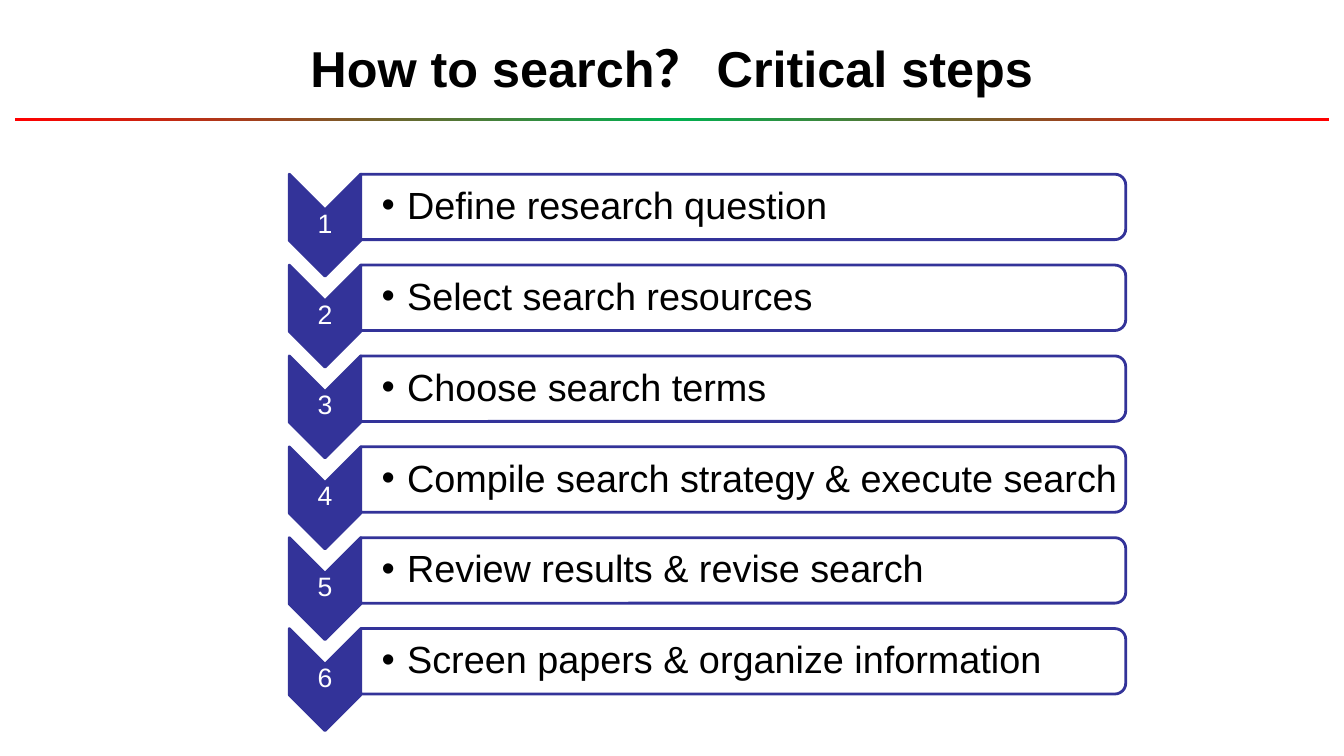
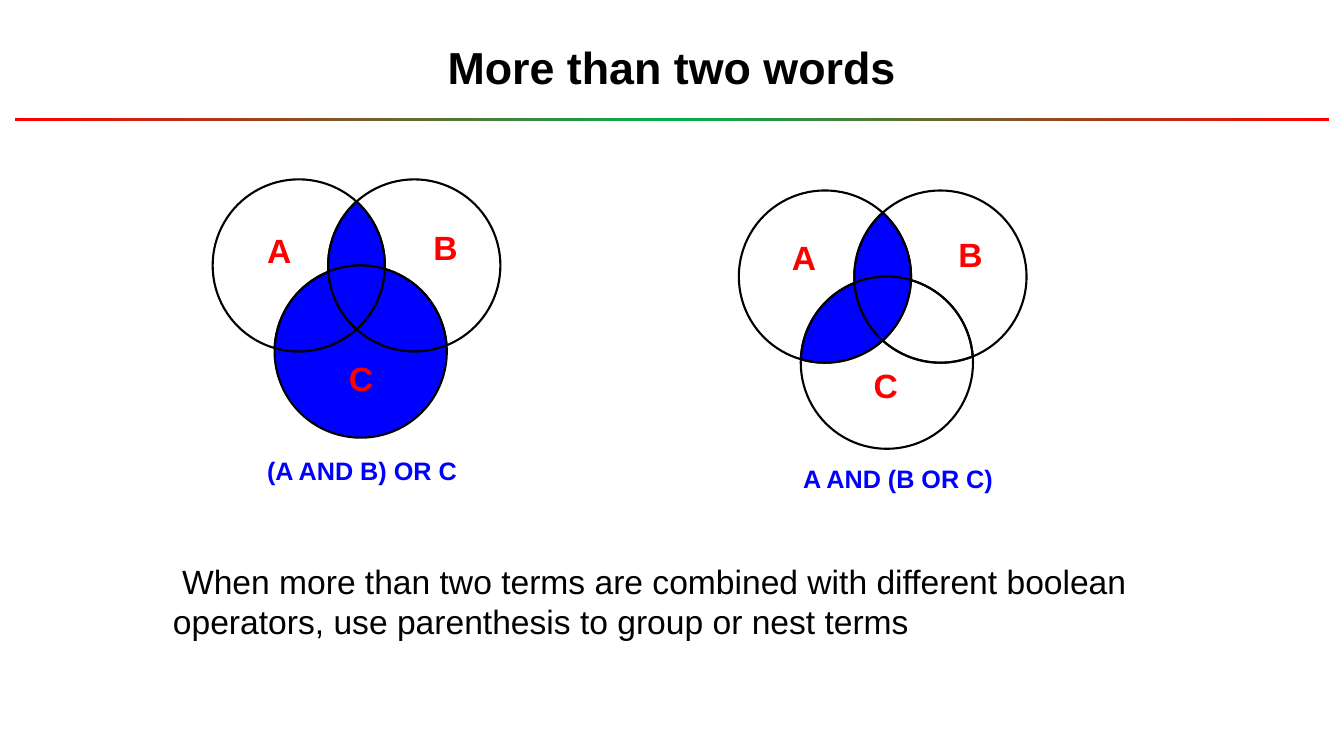
"""Build two slides on literature searching: the critical steps and nested boolean terms."""
from math import atan2, cos, degrees, hypot, sin, sqrt, tau

from lxml.etree import SubElement
from pptx import Presentation
from pptx.dml.color import RGBColor
from pptx.enum.shapes import MSO_SHAPE
from pptx.enum.text import MSO_ANCHOR, MSO_AUTO_SIZE, PP_ALIGN
from pptx.oxml.ns import qn
from pptx.util import Cm, Pt

COLORS = {
    "text": "000000",
    "paper": "FFFFFF",
    "step": "333399",
    "label": "FF0000",
    "match": "0000FF",
    "band_edge": "FF0000",
    "band_middle": "00B050",
}
FONT = "Arial"
TITLE_ONLY = 5

STEPS = [
    "Define research question",
    "Select search resources",
    "Choose search terms",
    "Compile search strategy & execute search",
    "Review results & revise search",
    "Screen papers & organize information",
]
STEP_PITCH = 2.29

RADIUS = 2.17
CENTERS = {"A": (2.17, 2.17), "B": (5.08, 2.17), "C": (3.73, 4.34)}
LABELS = {"A": (1.12, 1.14), "B": (5.31, 1.07), "C": (3.18, 4.37)}
REGIONS = {
    "AB": "AB- A AC- C CB- B",
    "BC": "AC- C CB+ B AB+ A",
    "AC": "CB- B AB+ A AC+ C",
    "A": "AB- B CB- C AC+ A",
    "B": "AB- B CB+ C AC- A",
    "ABC": "CB- C AC- A AB+ B",
    "C": "AB+ B CB+ C AC+ A",
}
ARC_SAMPLES = 32


def color(name):
    return RGBColor.from_string(COLORS[name])


def write(frame, text, size, color_name="text", bold=False, align=PP_ALIGN.LEFT):
    frame.text = text
    para = frame.paragraphs[0]
    para.alignment = align
    para.font.name = FONT
    para.font.size = Pt(size)
    para.font.bold = bold
    para.font.color.rgb = color(color_name)
    return para


def add_text(page, left, top, width, height, text, size, *style, wrap=False):
    box = page.shapes.add_textbox(Cm(left), Cm(top), Cm(width), Cm(height))
    box.text_frame.word_wrap = wrap
    return box.text_frame, write(box.text_frame, text, size, *style)


def set_margins(frame, left, others):
    frame.margin_left = Cm(left)
    frame.margin_top = frame.margin_right = frame.margin_bottom = Cm(others)
    frame.vertical_anchor = MSO_ANCHOR.MIDDLE


def add_band(page):
    band = page.shapes.add_shape(
        MSO_SHAPE.RECTANGLE, Cm(0.38), Cm(2.97), Cm(33.12), Cm(0.08))
    band.shadow.inherit = False
    band.line.fill.background()
    band.fill.gradient()
    band.fill.gradient_angle = 0
    stops = next(band.element.iter(qn("a:gsLst")))
    for stop in list(stops):
        stops.remove(stop)
    for position, name in ((0, "band_edge"), (50, "band_middle"), (100, "band_edge")):
        stop = SubElement(stops, qn("a:gs"), pos=str(position * 1000))
        SubElement(stop, qn("a:srgbClr"), val=COLORS[name])


def add_titled_page(deck, text, size):
    page = deck.slides.add_slide(deck.slide_layouts[TITLE_ONLY])
    add_band(page)
    title = page.shapes.title
    title.left, title.top, title.width, title.height = Cm(1.69), Cm(0.33), Cm(30.48), Cm(2.72)
    title.text_frame.auto_size = MSO_AUTO_SIZE.NONE
    title.text_frame.vertical_anchor = MSO_ANCHOR.MIDDLE
    write(title.text_frame, text, size, "text", True, PP_ALIGN.CENTER)
    return page


def add_turned_shape(page, kind, left, top, width, height, fill_name):
    shift = (width - height) / 2
    shape = page.shapes.add_shape(
        kind, Cm(left + shift), Cm(top - shift), Cm(height), Cm(width))
    shape.rotation = 90
    shape.shadow.inherit = False
    shape.fill.solid()
    shape.fill.fore_color.rgb = color(fill_name)
    shape.line.color.rgb = color("step")
    shape.line.width = Pt(2)


def add_bullet(para):
    properties = para._p.get_or_add_pPr()
    properties.set("marL", str(Cm(0.64)))
    properties.set("indent", str(-Cm(0.64)))
    SubElement(properties, qn("a:buFont"), typeface=FONT)
    SubElement(properties, qn("a:buChar"), char="•")


def add_step(page, left, top, number, text):
    chevron_width, bar_width, bar_height = 1.8, 19.28, 1.65
    bar_left = left + chevron_width
    add_turned_shape(page, MSO_SHAPE.CHEVRON, left, top, chevron_width, 2.57, "step")
    frame, para = add_text(page, left, top + 0.89, chevron_width, 0.76,
                           str(number), 19, "paper", False, PP_ALIGN.CENTER, wrap=True)
    set_margins(frame, 0.03, 0.03)
    para.line_spacing = 0.9
    add_turned_shape(page, MSO_SHAPE.ROUND_2_SAME_RECTANGLE,
                     bar_left, top, bar_width, bar_height, "paper")
    frame, para = add_text(page, bar_left, top + 0.08, 19.2, 1.5, text, 27, wrap=True)
    set_margins(frame, 0.53, 0.05)
    para.line_spacing = 0.9
    add_bullet(para)


def crossing(name):
    first, second, sign = name
    (x1, y1), (x2, y2) = CENTERS[first], CENTERS[second]
    distance = hypot(x2 - x1, y2 - y1)
    reach = sqrt(RADIUS ** 2 - distance ** 2 / 4) / distance
    if sign == "-":
        reach = -reach
    return (x1 + x2) / 2 - reach * (y2 - y1), (y1 + y2) / 2 + reach * (x2 - x1)


def region_arcs(region):
    parts = REGIONS[region].split()
    corners = [crossing(name) for name in parts[::2]]
    ends = corners[1:] + corners[:1]
    arcs = []
    for circle, start, end in zip(parts[1::2], corners, ends):
        x, y = CENTERS[circle]
        begin, finish = (atan2(py - y, px - x) for px, py in (start, end))
        clockwise = circle in region
        sweep = (finish - begin) % tau if clockwise else -((begin - finish) % tau)
        arcs.append((circle, begin, sweep))
    return arcs


def arc_points(circle, begin, sweep):
    x, y = CENTERS[circle]
    angles = [begin + sweep * step / ARC_SAMPLES for step in range(ARC_SAMPLES)]
    return [(x + RADIUS * cos(angle), y + RADIUS * sin(angle)) for angle in angles]


def angle_units(angle):
    return str(round(degrees(angle) * 60000))


def add_region(page, left, top, region, filled):
    arcs = region_arcs(region)
    points = [(Cm(left + x), Cm(top + y)) for arc in arcs for x, y in arc_points(*arc)]
    builder = page.shapes.build_freeform(*points[0])
    builder.add_line_segments(points[1:], close=True)
    shape = builder.convert_to_shape()
    outline = next(shape.element.iter(qn("a:path")))
    for segment in list(outline)[1:]:
        outline.remove(segment)
    radius = str(Cm(RADIUS))
    for _, begin, sweep in arcs:
        SubElement(outline, qn("a:arcTo"), wR=radius, hR=radius,
                   stAng=angle_units(begin % tau), swAng=angle_units(sweep))
    SubElement(outline, qn("a:close"))
    shape.shadow.inherit = False
    shape.line.color.rgb = color("text")
    shape.line.width = Pt(1.5)
    if filled:
        shape.fill.solid()
        shape.fill.fore_color.rgb = color("match")
    else:
        shape.fill.background()


def add_venn(page, left, top, matches, label_shift, caption, caption_place):
    for region in REGIONS:
        add_region(page, left, top, region, region in matches)
    for letter, (x, y) in LABELS.items():
        add_text(page, left + x + label_shift[0], top + y + label_shift[1],
                 1.14, 1.27, letter, 24, "label", True)
    add_text(page, left + caption_place[0], top + caption_place[1],
             5.33, 1.02, caption, 18, "match", True)


def build_steps_page(deck):
    page = add_titled_page(deck, "How to search？ Critical steps", 36)
    for index, text in enumerate(STEPS):
        add_step(page, 7.29, 4.39 + index * STEP_PITCH, index + 1, text)


def build_boolean_page(deck):
    page = add_titled_page(deck, "More than two words", 32)
    add_venn(page, 5.36, 4.52, {"AB", "BC", "AC", "ABC", "C"}, (0, 0),
             "(A AND B) OR C", (1.12, 6.83))
    add_venn(page, 18.62, 4.8, {"AB", "AC", "ABC"}, (-0.03, -0.09),
             "A AND (B OR C)", (1.37, 6.76))
    _, para = add_text(
        page, 4.11, 14, 25.6, 2.31,
        "When more than two terms are combined with different boolean operators, "
        "use parenthesis to group or nest terms", 24, wrap=True)
    para._p.get_or_add_pPr().set("indent", str(Cm(0.23)))


def main():
    deck = Presentation()
    deck.slide_width, deck.slide_height = Cm(33.87), Cm(19.05)
    build_steps_page(deck)
    build_boolean_page(deck)
    deck.save("out.pptx")


if __name__ == "__main__":
    main()
